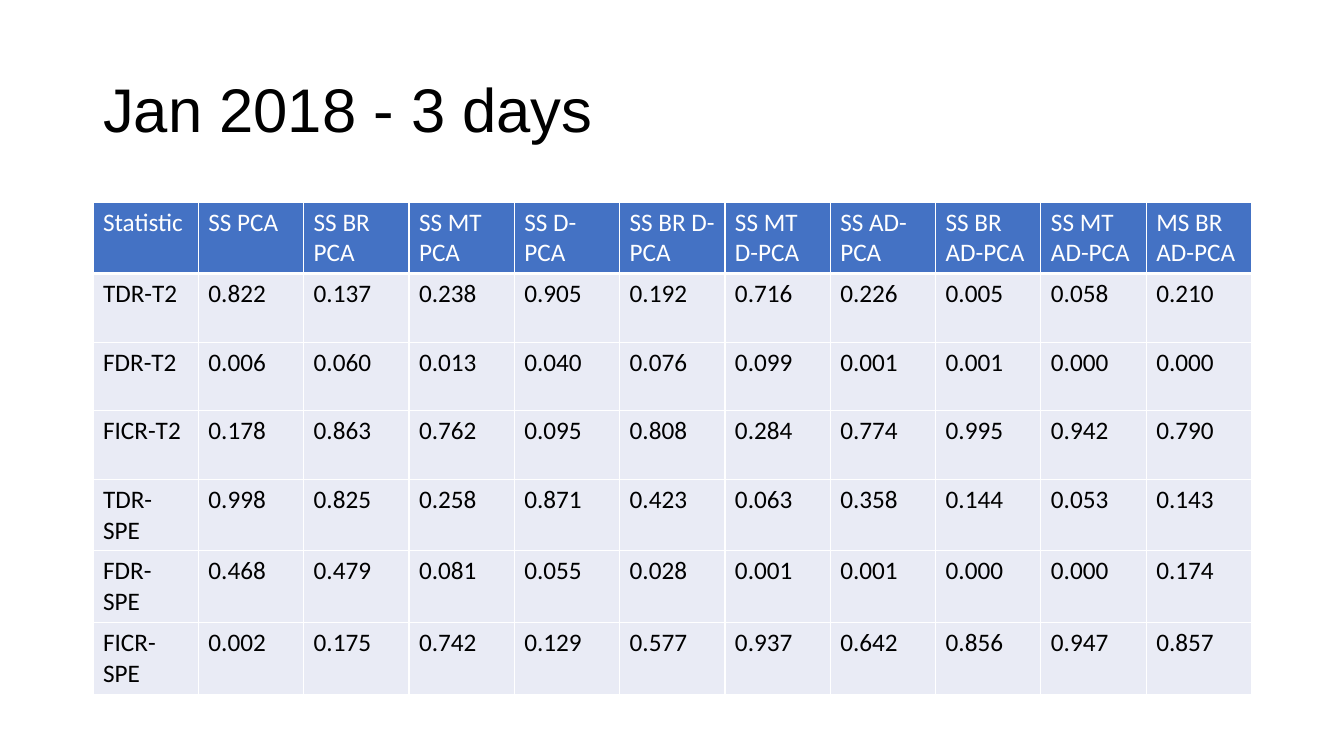
from dataclasses import dataclass

from lxml import etree
from pptx import Presentation, util as u
from pptx.dml.color import RGBColor
from pptx.enum import text
from pptx.oxml import ns


@dataclass(frozen=True)
class Theme:
    ink: str = "000000"
    white: str = "FFFFFF"
    header: str = "4472C4"
    body: str = "E9EBF5"
    title_font: str = "Arial"
    table_font: str = "Calibri"
    title_size: int = 44
    table_size: int = 18
    rule: int = 1
    header_rule: int = 3


theme = Theme()
EMU_PER_PIXEL = 914400 / 100.8


def px(pixels):
    return u.Emu(round(pixels * EMU_PER_PIXEL))


def style_run(run, font, size, color):
    run.font.name = font
    run.font.size = u.Pt(size)
    run.font.bold = False
    run.font.color.rgb = RGBColor.from_string(color)


presentation = Presentation()
presentation.slide_width, presentation.slide_height = px(1344), px(756)
slide = presentation.slides.add_slide(presentation.slide_layouts[5])

# Title
title = slide.shapes.title
title.left, title.top, title.width, title.height = px(93), px(40), px(1159), px(146)
title.text_frame.text = "Jan 2018 - 3 days"
title.text_frame.word_wrap = True
title.text_frame.auto_size = text.MSO_AUTO_SIZE.NONE
title.text_frame.vertical_anchor = text.MSO_ANCHOR.MIDDLE
heading = title.text_frame.paragraphs[0]
heading.alignment = text.PP_ALIGN.LEFT
heading.line_spacing = 0.9
style_run(heading.runs[0], theme.title_font, theme.title_size, theme.ink)

# Detection rates by method
methods = ["SS PCA", "SS BR PCA", "SS MT PCA", "SS D-PCA", "SS BR D-PCA",
           "SS MT D-PCA", "SS AD-PCA", "SS BR AD-PCA", "SS MT AD-PCA", "MS BR AD-PCA"]
rates = {
    "TDR-T2": [0.822, 0.137, 0.238, 0.905, 0.192, 0.716, 0.226, 0.005, 0.058, 0.210],
    "FDR-T2": [0.006, 0.060, 0.013, 0.040, 0.076, 0.099, 0.001, 0.001, 0.000, 0.000],
    "FICR-T2": [0.178, 0.863, 0.762, 0.095, 0.808, 0.284, 0.774, 0.995, 0.942, 0.790],
    "TDR-SPE": [0.998, 0.825, 0.258, 0.871, 0.423, 0.063, 0.358, 0.144, 0.053, 0.143],
    "FDR-SPE": [0.468, 0.479, 0.081, 0.055, 0.028, 0.001, 0.001, 0.000, 0.000, 0.174],
    "FICR-SPE": [0.002, 0.175, 0.742, 0.129, 0.577, 0.937, 0.642, 0.856, 0.947, 0.857],
}
rows = [["Statistic", *methods]]
rows += [[statistic, *(f"{rate:.3f}" for rate in values)]
         for statistic, values in rates.items()]

# Table, with equal columns and rows
rates_table = slide.shapes.add_table(
    len(rows), len(rows[0]), px(93), px(202), px(1159), px(480)).table
rates_table.horz_banding = False

for row_index, row in enumerate(rows):
    is_header = row_index == 0
    for column_index, entry in enumerate(row):
        cell = rates_table.cell(row_index, column_index)
        cell.text_frame.text = entry
        paragraph = cell.text_frame.paragraphs[0]
        paragraph.alignment = text.PP_ALIGN.LEFT
        style_run(paragraph.runs[0], theme.table_font, theme.table_size,
                  theme.white if is_header else theme.ink)

        # White cell borders, heavier below the header
        properties = cell._tc.get_or_add_tcPr()
        for side in "LRTB":
            weight = theme.header_rule if is_header and side == "B" else theme.rule
            border = etree.SubElement(properties, ns.qn(f"a:ln{side}"), w=str(u.Pt(weight)))
            line_fill = etree.SubElement(border, ns.qn("a:solidFill"))
            etree.SubElement(line_fill, ns.qn("a:srgbClr"), val=theme.white)
        cell.fill.solid()
        cell.fill.fore_color.rgb = RGBColor.from_string(
            theme.header if is_header else theme.body)

presentation.save("out.pptx")
